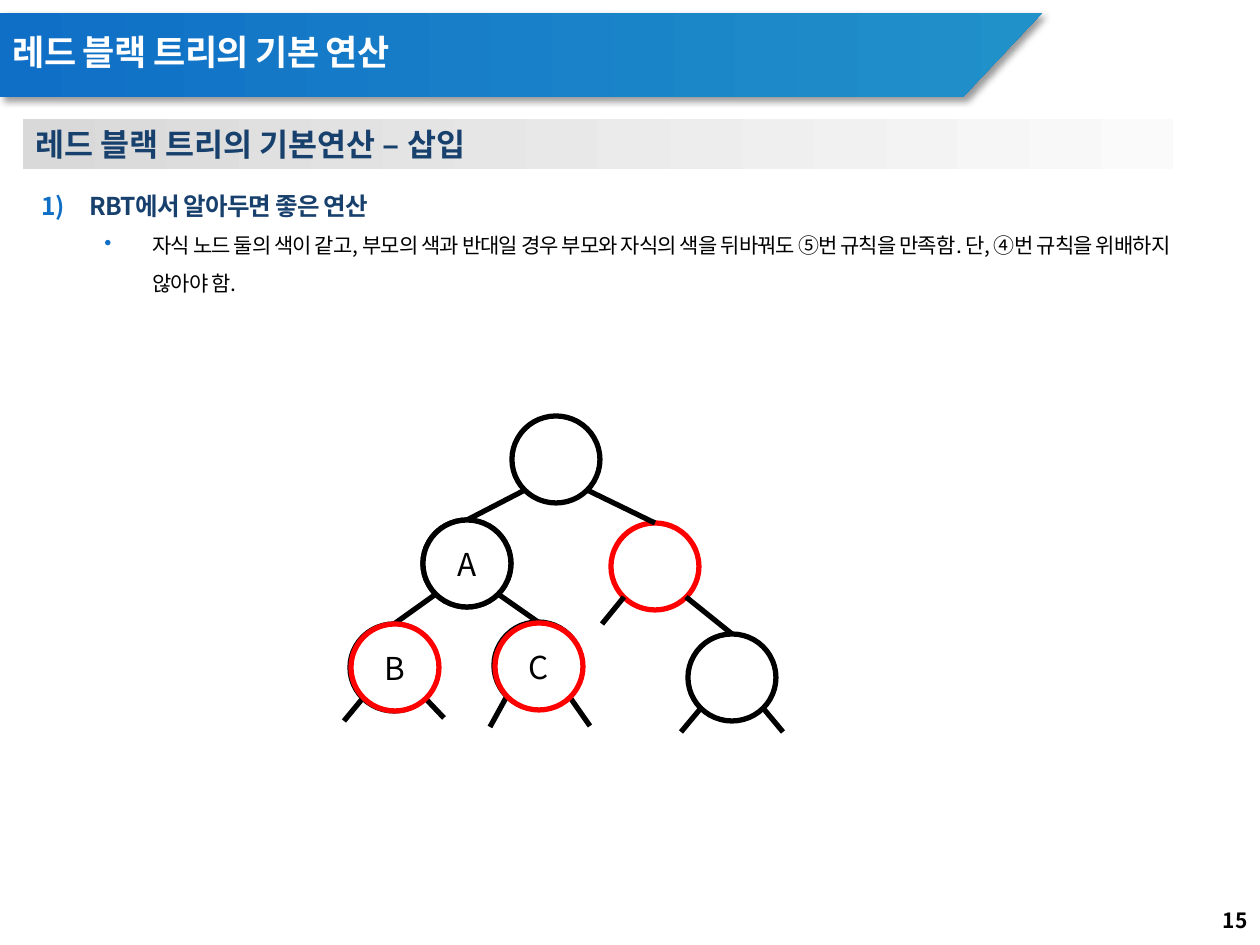
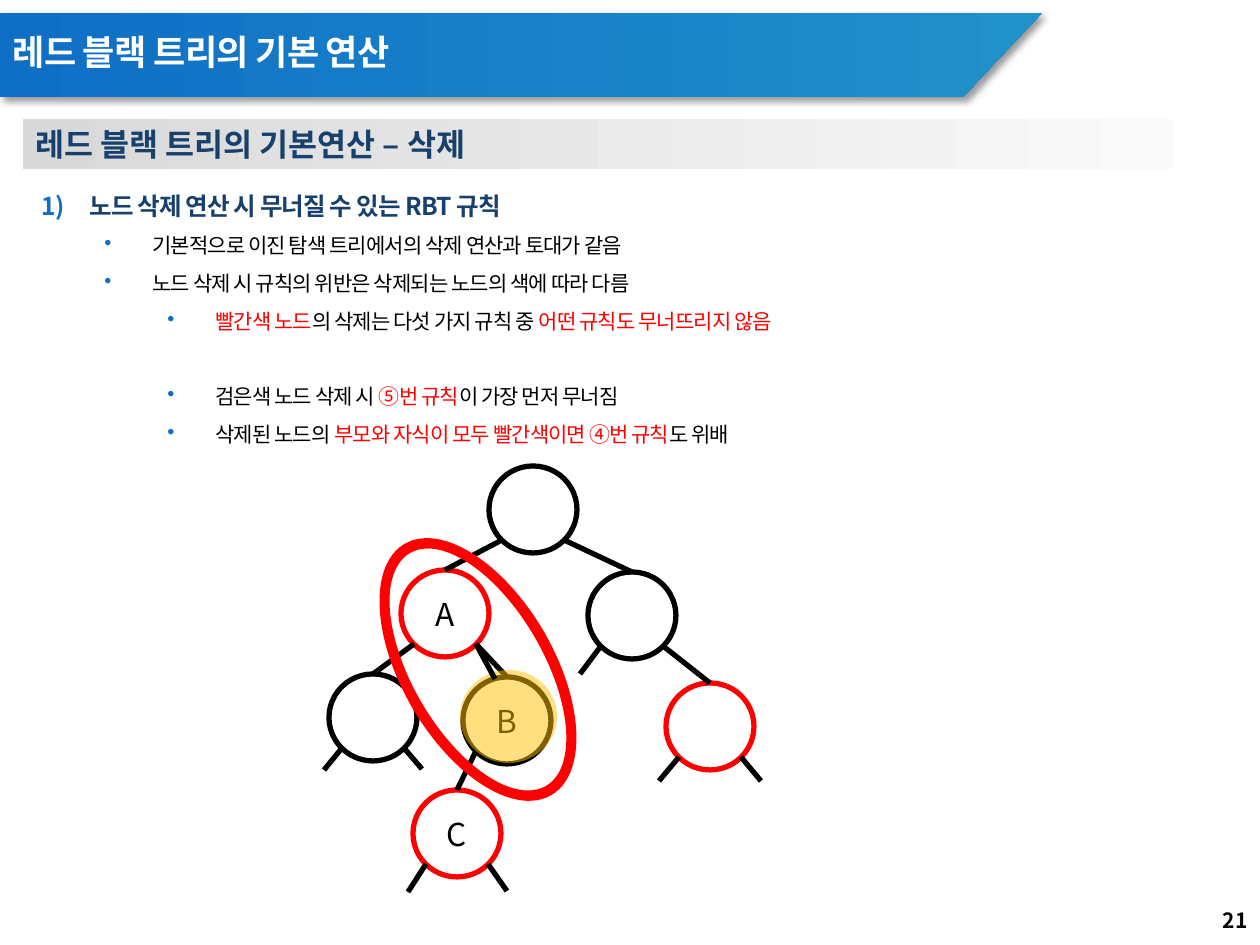
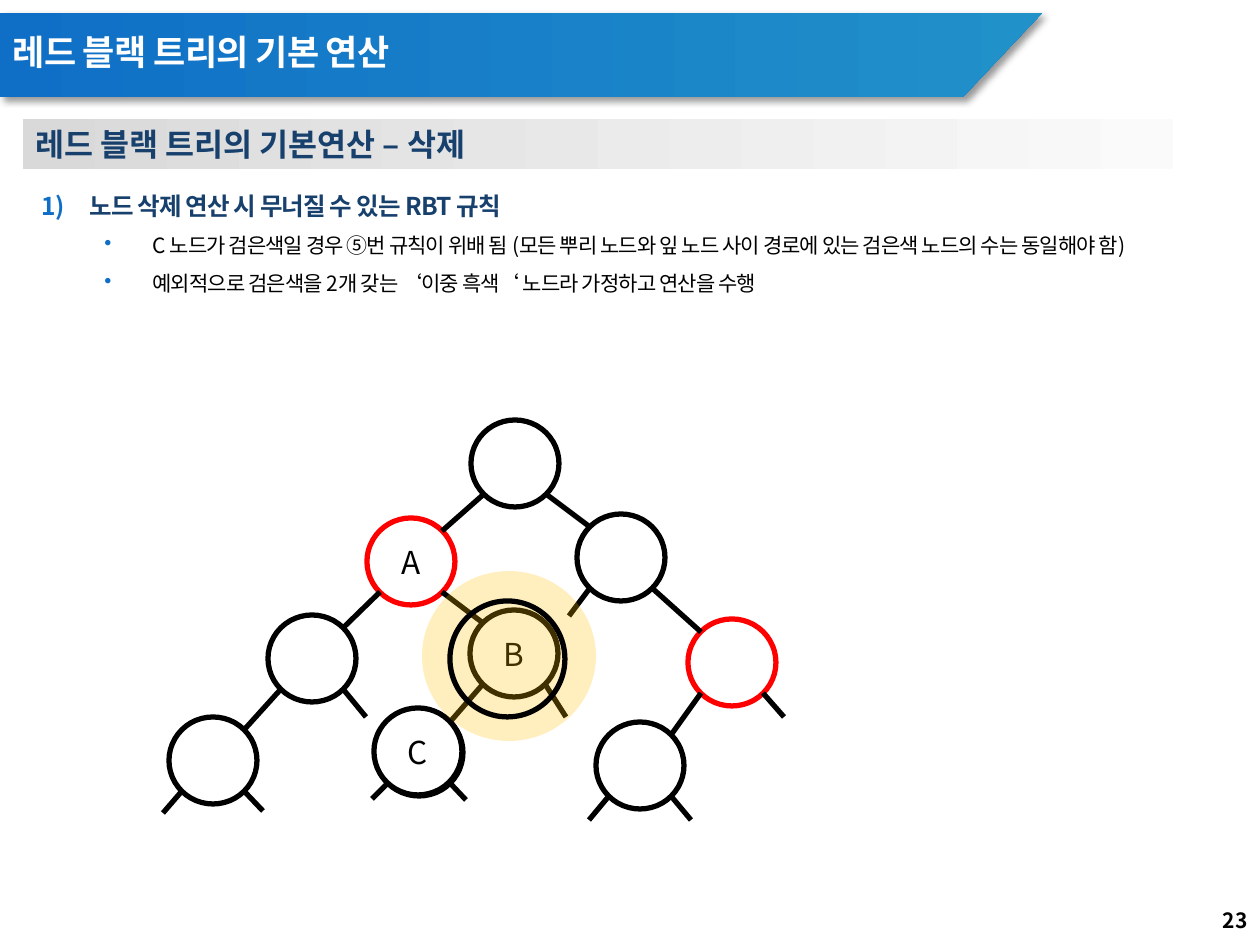
from lxml.etree import SubElement as Sub
from pptx import Presentation
from pptx.dml.color import RGBColor as RGB
from pptx.enum.shapes import MSO_CONNECTOR as LINK, MSO_SHAPE as SHAPE
from pptx.enum.text import MSO_ANCHOR as ANCHOR, MSO_AUTO_SIZE as AUTO, PP_ALIGN as ALIGN
from pptx.oxml.ns import qn
from pptx.util import Emu, Inches, Pt

HUE = {
    "blue": "0F6FC6", "teal": "2191C9", "navy": "17406D",
    "grey": "D9D9D9", "pale": "FAFAFA", "gold": "FFC000",
    "red": "FF0000", "black": "000000", "white": "FFFFFF",
}
FONT = "Noto Sans CJK KR"
UNIT = Inches(1) / 126
NODE = (88, 87)
NEAR, FAR, FOOT = 13, 75, 74
HEAD = "레드 블랙 트리의 기본 연산"
CUT = "레드 블랙 트리의 기본연산 – 삭제"
RULE = "노드 삭제 연산 시 무너질 수 있는 RBT 규칙"


def px(*sizes):
    return [Emu(round(size * UNIT)) for size in sizes]


def rgb(name):
    return RGB.from_string(HUE[name])


def say(par, text, size=12, hue="black", bold=False, track=0, align=ALIGN.LEFT, lead=None):
    par.alignment = align
    if lead:
        par.line_spacing = lead
    for i, part in enumerate(text.split("|")):
        if not part:
            continue
        run = par.add_run()
        run.text = part
        run.font.size = Pt(size)
        run.font.bold = bold
        run.font.color.rgb = rgb("red" if i % 2 else hue)
        run.font.name = FONT
        props = run._r.get_or_add_rPr()
        Sub(props, qn("a:ea"), typeface=FONT)
        if track:
            props.set("spc", str(track))


def bullet(par, level, left, hang):
    props = par._p.get_or_add_pPr()
    props.set("marL", str(px(left)[0]))
    props.set("indent", str(-px(hang)[0]))
    par.level = level
    Sub(Sub(props, qn("a:buClr")), qn("a:srgbClr"), val=HUE["blue"])
    if level:
        Sub(props, qn("a:buChar"), char="•")
    else:
        Sub(props, qn("a:buAutoNum"), type="arabicParenR")


def fade(shape, start, end):
    shape.fill.gradient()
    shape.fill.gradient_angle = 0
    for stop, hue in zip(shape.fill.gradient_stops, (start, end)):
        stop.color.rgb = rgb(hue)
    shape.line.fill.background()


def form(slide, kind, box, fill=None, line=None, alpha=None):
    shape = slide.shapes.add_shape(kind, *px(*box))
    shape.shadow.inherit = False
    if fill:
        shape.fill.solid()
        shape.fill.fore_color.rgb = rgb(fill)
    else:
        shape.fill.background()
    if alpha:
        tone = shape.element.spPr.find(".//" + qn("a:srgbClr"))
        Sub(tone, qn("a:alpha"), val=str(alpha * 1000))
    if line:
        shape.line.color.rgb = rgb(line)
        shape.line.width = Pt(3)
    else:
        shape.line.fill.background()
    return shape


def banner(slide, box):
    left, top, wide, high = box
    pen = slide.shapes.build_freeform(0, 0, scale=UNIT)
    pen.add_line_segments([(wide, 0), (wide - 79, high), (0, high)])
    band = pen.convert_to_shape(*px(left, top))
    fade(band, "blue", "teal")
    band.shadow.inherit = False
    glow = Sub(band.element.spPr.find(qn("a:effectLst")), qn("a:outerShdw"),
               blurRad=str(Pt(4)), dist=str(Pt(3)), dir="2700000", algn="tl", rotWithShape="0")
    tone = Sub(glow, qn("a:srgbClr"), val=HUE["black"])
    Sub(tone, qn("a:alpha"), val="40000")
    title = slide.shapes.title
    title.element.addprevious(band.element)
    title.left, title.top, title.width, title.height = px(left, top + 12, 843, 59)
    frame = title.text_frame
    frame.auto_size = AUTO.NONE
    frame.vertical_anchor = ANCHOR.MIDDLE
    say(frame.paragraphs[0], HEAD, size=20, hue="white", bold=True, track=-40, lead=0.9)


def footer(slide, box, page):
    frame = slide.shapes.add_textbox(*px(*box)).text_frame
    frame.word_wrap = True
    frame.vertical_anchor = ANCHOR.MIDDLE
    say(frame.paragraphs[0], str(page), bold=True, align=ALIGN.RIGHT)


def topic(slide, box, text):
    bar = form(slide, SHAPE.RECTANGLE, box)
    fade(bar, "grey", "pale")
    say(bar.text_frame.paragraphs[0], text, size=18, hue="navy", bold=True)


def body(slide, box, head, rows):
    frame = slide.shapes.add_textbox(*px(*box)).text_frame
    frame.word_wrap = True
    par = frame.paragraphs[0]
    bullet(par, 0, 48, 48)
    say(par, head, size=14, hue="navy", bold=True, track=-50, lead=1.5)
    for level, text, gap in rows:
        par = frame.add_paragraph()
        bullet(par, level, 48 + 63 * level, 48)
        if gap:
            par.space_before = Pt(gap)
        say(par, text, track=-50, lead=1.5)


def page(deck, number, name, head, rows, high):
    slide = deck.slides.add_slide(deck.slide_layouts[5])
    banner(slide, (0, 13, 1042, 84))
    footer(slide, (976, 895, 284, 50), number)
    topic(slide, (23, 119, 1150, 50), name)
    body(slide, (29, 170, 1191, high), head, rows)
    return slide


def node(slide, base, x, y, hue="black", mark=""):
    oval = form(slide, SHAPE.OVAL, (base[0] + x, base[1] + y, *NODE), "white", hue)
    frame = oval.text_frame
    frame.word_wrap = False
    if mark:
        say(frame.paragraphs[0], mark, size=18, align=ALIGN.CENTER)


def limb(slide, start, end):
    line = slide.shapes.add_connector(LINK.STRAIGHT, *px(*start, *end))
    line.line.color.rgb = rgb("black")
    line.line.width = Pt(3)
    Sub(line.element.spPr, qn("a:effectLst"))


def foot(base, spot, side):
    return base[0] + spot[0] + (NEAR if side == "L" else FAR), base[1] + spot[1] + FOOT


def stub(slide, base, spot, side, dx, dy):
    x, y = foot(base, spot, side)
    limb(slide, (x, y), (x + dx, y + dy))


def tree(slide, base, nodes, links, stubs, tops=True):
    for spot in nodes.values():
        node(slide, base, *spot)
    for mum, side, kid in links:
        x, y = nodes[kid][:2]
        if tops:
            end = (x + NODE[0] // 2, y)
        else:
            end = (x + (FAR if side == "L" else NEAR), y + NEAR)
        limb(slide, foot(base, nodes[mum], side), (base[0] + end[0], base[1] + end[1]))
    for name, side, dx, dy in stubs:
        stub(slide, base, nodes[name], side, dx, dy)


def insert(deck):
    rows = [(1, "자식 노드 둘의 색이 같고, 부모의 색과 반대일 경우 부모와 자식의 색을 뒤바꿔도 "
                "⑤번 규칙을 만족함. 단, ④번 규칙을 위배하지 않아야 함.", 0)]
    slide = page(deck, 15, "레드 블랙 트리의 기본연산 – 삽입", "RBT에서 알아두면 좋은 연산", rows, 129)
    base = (345, 416)
    nodes = {
        "root": (167, 0), "right": (266, 107, "red"), "A": (78, 104, "black", "A"),
        "B": (5, 208, "black", "B"), "C": (149, 206, "black", "C"), "leaf": (343, 218),
    }
    links = [("root", "L", "A"), ("root", "R", "right"), ("A", "L", "B"),
             ("A", "R", "C"), ("right", "R", "leaf")]
    stubs = [("B", "L", -19, 23), ("B", "R", 19, 20), ("C", "L", -17, 31), ("C", "R", 21, 30),
             ("right", "L", -22, 27), ("leaf", "L", -20, 24), ("leaf", "R", 20, 24)]
    tree(slide, base, nodes, links, stubs)
    for spot in (nodes["A"], (6, 208, "red", "B"), (150, 207, "red", "C")):
        node(slide, base, *spot)


def remove(deck):
    rows = [
        (1, "기본적으로 이진 탐색 트리에서의 삭제 연산과 토대가 같음", 0),
        (1, "노드 삭제 시 규칙의 위반은 삭제되는 노드의 색에 따라 다름", 0),
        (2, "|빨간색 노드|의 삭제는 다섯 가지 규칙 중 |어떤 규칙도 무너뜨리지 않음", 0),
        (2, "검은색 노드 삭제 시 |⑤번 규칙|이 가장 먼저 무너짐", 21.5),
        (2, "삭제된 노드의 |부모와 자식이 모두 빨간색이면 ④번 규칙|도 위배", 0),
    ]
    slide = page(deck, 21, CUT, RULE, rows, 320)
    base = x, y = (323, 466)
    nodes = {
        "root": (166, 0), "A": (78, 104, "red", "A"), "right": (265, 106), "left": (6, 208),
        "B": (140, 211, "black", "B"), "leaf": (343, 217, "red"), "C": (90, 324, "red", "C"),
    }
    links = [("root", "L", "A"), ("root", "R", "right"), ("A", "L", "left"),
             ("A", "R", "B"), ("right", "R", "leaf"), ("B", "L", "C")]
    stubs = [("left", "L", -18, 22), ("left", "R", 18, 21), ("right", "L", -21, 28),
             ("leaf", "L", -20, 24), ("leaf", "R", 20, 24), ("C", "L", -18, 28), ("C", "R", 19, 27)]
    tree(slide, base, nodes, links, stubs)
    form(slide, SHAPE.OVAL, (x + 137, y + 204, 97, 93), "gold", alpha=50)
    stub(slide, base, nodes["A"], "R", 19, 35)
    loop = form(slide, SHAPE.DONUT, (x + 79, y + 58, 152, 291), "red")
    loop.adjustments[0] = 0.07
    loop.rotation = 329.7


def double(deck):
    rows = [
        (1, "C 노드가 검은색일 경우 ⑤번 규칙이 위배 됨 "
            "(모든 뿌리 노드와 잎 노드 사이 경로에 있는 검은색 노드의 수는 동일해야 함)", 0),
        (1, "예외적으로 검은색을 2개 갖는 ‘이중 흑색‘ 노드라 가정하고 연산을 수행", 0),
    ]
    slide = page(deck, 23, CUT, RULE, rows, 166)
    base = x, y = (164, 420)
    nodes = {
        "root": (307, 0), "A": (203, 98, "red", "A"), "left": (104, 195),
        "B": (306, 190, "black", "B"), "low": (5, 297), "right": (413, 94),
        "leaf": (524, 199, "red"), "end": (432, 302), "C": (211, 289, "black", "C"),
    }
    links = [("root", "L", "A"), ("root", "R", "right"), ("A", "L", "left"), ("A", "R", "B"),
             ("left", "L", "low"), ("B", "L", "C"), ("right", "R", "leaf"), ("leaf", "L", "end")]
    stubs = [("left", "R", 23, 28), ("B", "R", 21, 33), ("low", "L", -19, 22), ("low", "R", 19, 20),
             ("end", "L", -20, 24), ("end", "R", 20, 24), ("C", "L", -16, 16), ("C", "R", 16, 17),
             ("right", "L", -21, 28), ("leaf", "R", 21, 24)]
    tree(slide, base, nodes, links, stubs, tops=False)
    node(slide, base, 210, 288, "black", "C")
    form(slide, SHAPE.OVAL, (x + 258, y + 151, 174, 170), "gold", alpha=25)
    form(slide, SHAPE.OVAL, (x + 286, y + 181, 115, 116), line="black")


def main():
    deck = Presentation()
    deck.slide_width, deck.slide_height = px(1260, 945)
    for build in (insert, remove, double):
        build(deck)
    deck.save("out.pptx")


if __name__ == "__main__":
    main()
